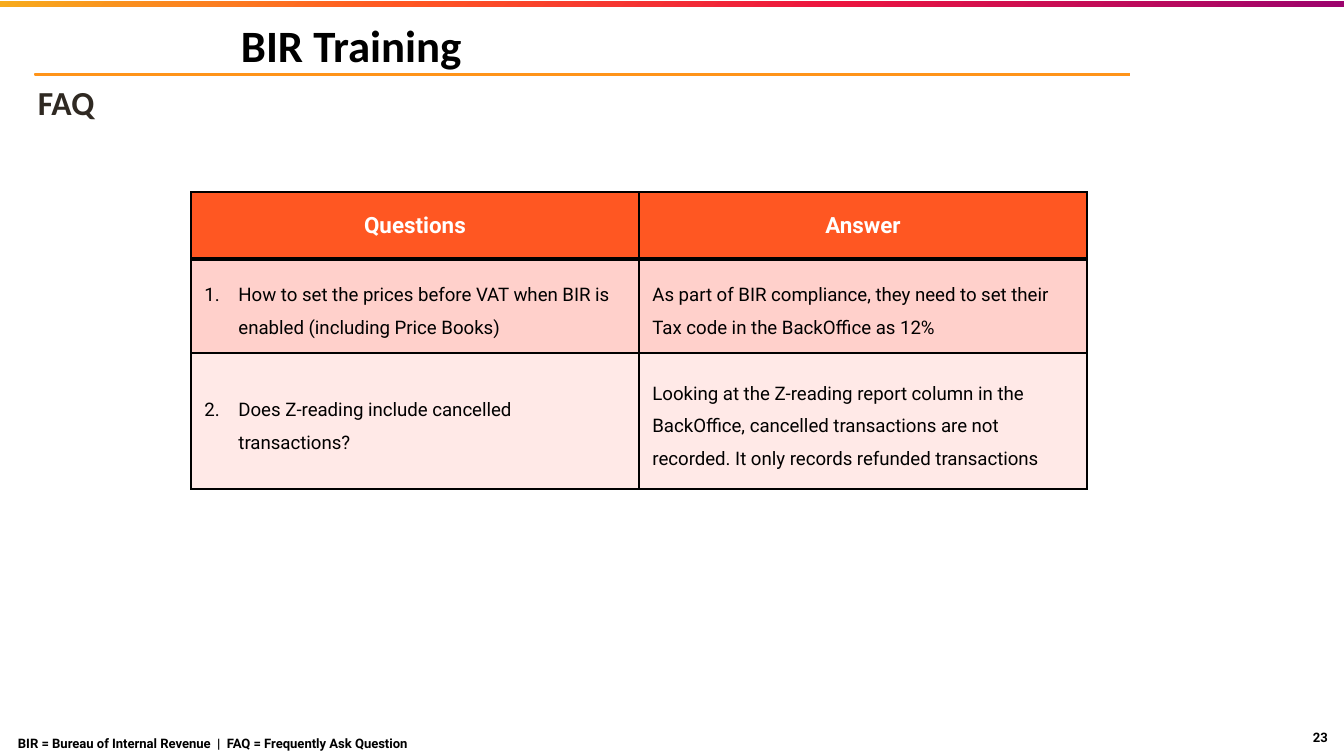
from lxml.etree import SubElement as Sub
from pptx import Presentation
from pptx.dml.color import RGBColor as RGB
from pptx.enum.shapes import MSO_SHAPE as Shape
from pptx.enum.text import MSO_ANCHOR as Anchor, PP_ALIGN as Align
from pptx.oxml.ns import qn
from pptx.util import Pt

SCALE = 914400 / 134.4
INK = {
    "black": "000000", "white": "FFFFFF", "head": "FF5722", "rule": "FF9419",
    "title": "2F2922", "rose": "FFD0CB", "pale": "FFE9E7",
}
BLEND = [(0, "F7AB1D"), (30, "FF5722"), (62, "EC153F"), (100, "9C036D")]
FAQS = [
    ("How to set the prices before VAT when BIR is enabled (including Price Books)",
     "As part of BIR compliance, they need to set their Tax code in the BackOffice as 12%"),
    ("Does Z-reading include cancelled transactions?",
     "Looking at the Z-reading report column in the BackOffice, cancelled transactions "
     "are not recorded. It only records refunded transactions"),
]


def px(num):
    return round(num * SCALE)


def ink(name):
    return RGB.from_string(INK[name])


def add_run(para, text, size, color="black", bold=True, font="Roboto"):
    run = para.add_run()
    run.text = text
    run.font.size = Pt(size)
    run.font.name = font
    run.font.bold = bold
    run.font.color.rgb = ink(color)


def add_text(slide, box, text, size, color="black", font="Roboto",
             pad=3, align=Align.LEFT, left=0):
    frame = slide.shapes.add_textbox(*map(px, box)).text_frame
    frame.word_wrap = True
    frame.vertical_anchor = Anchor.MIDDLE
    frame.margin_left = frame.margin_right = px(pad)
    frame.margin_top = frame.margin_bottom = px(pad)
    para = frame.paragraphs[0]
    para.alignment = align
    if left:
        para._p.get_or_add_pPr().set("marL", str(px(left)))
    add_run(para, text, size, color, font=font)


def add_bar(slide, box, fill=None, line=None):
    bar = slide.shapes.add_shape(Shape.RECTANGLE, *map(px, box))
    bar.shadow.inherit = False
    if fill:
        bar.fill.solid()
        bar.fill.fore_color.rgb = ink(fill)
    else:
        blend(bar)
    if line:
        bar.line.color.rgb = ink(line)
        bar.line.width = Pt(0.75)
    else:
        bar.line.fill.background()


def blend(bar):
    bar.fill.gradient()
    grad = bar._element.spPr.find(qn("a:gradFill"))
    for kid in list(grad):
        grad.remove(kid)
    stops = Sub(grad, qn("a:gsLst"))
    for pos, color in BLEND:
        stop = Sub(stops, qn("a:gs"), pos=str(pos * 1000))
        Sub(stop, qn("a:srgbClr"), val=color)
    Sub(grad, qn("a:lin"), ang="2700000", scaled="0")


def add_edge(cell, side, width):
    edge = Sub(cell._tc.get_or_add_tcPr(), qn("a:ln" + side), w=str(Pt(width)))
    fill = Sub(edge, qn("a:solidFill"))
    Sub(fill, qn("a:srgbClr"), val=INK["black"])


def style(cell, fill, top=1, base=1):
    for side, width in (("L", 1), ("R", 1), ("T", top), ("B", base)):
        add_edge(cell, side, width)
    cell.fill.solid()
    cell.fill.fore_color.rgb = ink(fill)
    cell.vertical_anchor = Anchor.MIDDLE
    return cell.text_frame.paragraphs[0]


def number(para, start):
    props = para._p.get_or_add_pPr()
    props.set("marL", str(px(34)))
    props.set("indent", str(px(-34)))
    color = Sub(props, qn("a:buClr"))
    Sub(color, qn("a:srgbClr"), val=INK["black"])
    Sub(props, qn("a:buFont"), typeface="Roboto")
    Sub(props, qn("a:buAutoNum"), type="arabicPeriod", startAt=str(start))


def add_faq(slide):
    rows, wide = (67, 94, 136), 448
    box = (191, 192, 2 * wide, sum(rows))
    table = slide.shapes.add_table(len(rows), 2, *map(px, box)).table
    table.first_row = table.horz_banding = False
    for col in table.columns:
        col.width = px(wide)
    for row, tall in zip(table.rows, rows):
        row.height = px(tall)
    for col, text in enumerate(("Questions", "Answer")):
        para = style(table.cell(0, col), "head", base=3)
        para.alignment = Align.CENTER
        add_run(para, text, 12, "white")
    for row, pair in enumerate(FAQS, 1):
        for col, text in enumerate(pair):
            fill = "rose" if row % 2 else "pale"
            para = style(table.cell(row, col), fill, top=3 if row == 1 else 1)
            if col == 0:
                number(para, row)
            para.line_spacing = 1.5
            add_run(para, text, 10, bold=False)


def main():
    deck = Presentation()
    deck.slide_width, deck.slide_height = px(1344), px(756)
    slide = deck.slides.add_slide(deck.slide_layouts[6])
    add_bar(slide, (35, 74, 1258, 1), line="rule")
    add_bar(slide, (1130, 28, 179, 105), "white")
    add_bar(slide, (0, 1, 1344, 6))
    add_text(slide, (-32, 82, 1154, 40), "FAQ", 18, "title", "Calibri", left=67)
    add_text(slide, (238, 6, 852, 78), "BIR Training", 24, font="Calibri")
    add_text(slide, (1297, 720, 47, 35), "23", 7, pad=0, align=Align.CENTER)
    add_text(slide, (0, 731, 915, 24),
             "BIR = Bureau of Internal Revenue  |  FAQ = Frequently Ask Question",
             7, pad=18)
    add_faq(slide)
    deck.save("out.pptx")


if __name__ == "__main__":
    main()
